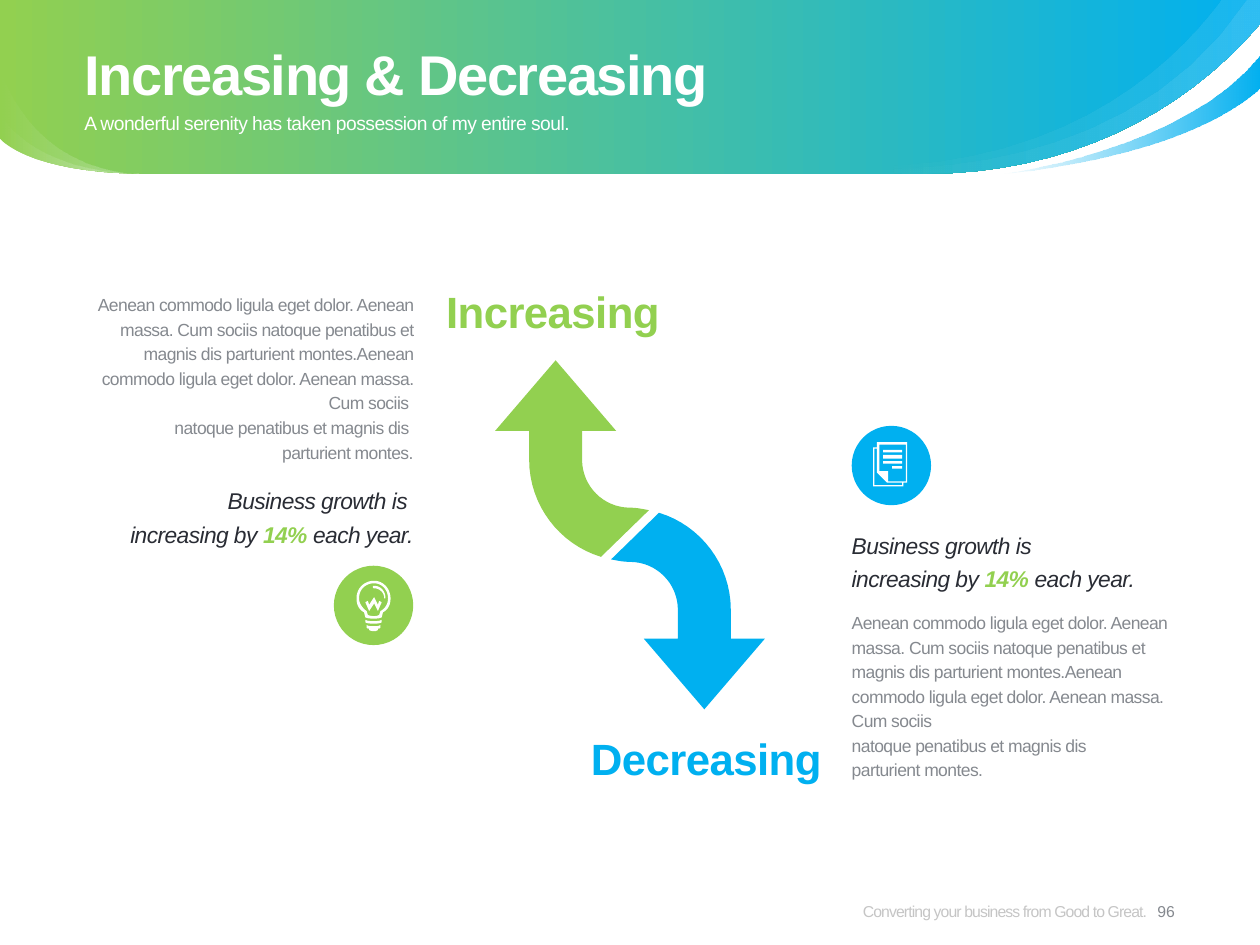
from lxml.etree import SubElement
from pptx import Presentation
from pptx.dml.color import RGBColor
from pptx.enum.shapes import MSO_SHAPE as Shape
from pptx.enum.text import MSO_ANCHOR as Anchor, PP_ALIGN as Align
from pptx.oxml.ns import qn
from pptx.util import Pt

PX = 9144  # EMU in one px, 100 px to the inch
STEPS = 16  # straight pieces in one curve

GREEN = RGBColor(0x92, 0xD0, 0x50)
BLUE = RGBColor(0x00, 0xB0, 0xF0)
WHITE = RGBColor(0xFF, 0xFF, 0xFF)
GREY = RGBColor(0x85, 0x89, 0x8F)
PALE = RGBColor(0x8C, 0x8C, 0x8C)
DARK = RGBColor(0x29, 0x2C, 0x34)

BODY = ("Aenean commodo ligula eget dolor. Aenean massa. Cum sociis natoque "
        "penatibus et magnis dis parturient montes.Aenean commodo ligula eget "
        "dolor. Aenean massa. Cum sociis \vnatoque penatibus et magnis dis "
        "\vparturient montes.")
GROWTH = [("Business growth is ",), ("increasing by ", "14%", " each year.")]

# Outlines: a pair is a point, six numbers are a cubic curve
ARROW = [[(122, 119), (84, 156), (51, 146, 27, 115, 27, 79), (27, 56), (0, 56),
          (48, 0), (96, 56), (69, 56), (69, 79), (69, 100, 86, 117, 107, 117),
          (112, 117, 117, 118, 122, 119)]]
BULB = [
    [(8, 35), (8, 37), (8, 37, 8, 38, 10, 38), (10, 39),
     (10, 39, 11, 40, 14, 40), (16, 40, 17, 39, 17, 39), (17, 38),
     (19, 38, 19, 37, 19, 37), (19, 35), (18, 36, 16, 36, 14, 36),
     (11, 36, 9, 36, 8, 35)],
    [(7, 31), (7, 33), (9, 34, 11, 34, 14, 34), (16, 34, 18, 34, 20, 33),
     (20, 31), (18, 32, 16, 32, 14, 32), (11, 32, 9, 32, 7, 31)],
    [(14, 0), (6, 0, 0, 6, 0, 14), (0, 19, 2, 23, 6, 25), (7, 29),
     (9, 30, 11, 30, 14, 30), (16, 30, 18, 30, 20, 29), (21, 25),
     (25, 23, 27, 19, 27, 14), (27, 6, 21, 0, 14, 0)],
    [(19, 24), (18, 27), (18, 27, 17, 28, 14, 28), (10, 28, 9, 27, 9, 27),
     (8, 24), (5, 22, 2, 18, 2, 14), (2, 7, 7, 2, 14, 2),
     (20, 2, 25, 7, 25, 14), (25, 18, 23, 22, 19, 24)],
    [(17, 19), (14, 13), (10, 19), (9, 16), (7, 17),
     (10, 24), (14, 18), (17, 24), (20, 17), (18, 16)],
    [(14, 4), (13, 4, 13, 4, 13, 5), (13, 5, 13, 6, 14, 6),
     (18, 6, 22, 9, 22, 14), (23, 14), (23, 8, 19, 4, 14, 4)],
]
LINES = [(8, 6, 8), (8, 10, 13), (8, 15, 17), (15, 19, 21)]  # left, top, bottom
PAGES = [
    [(3, 0), (3, 4), (0, 4), (0, 35), (24, 35), (24, 32), (27, 32), (27, 0)],
    [(23, 34), (1, 34), (1, 5), (3, 5), (3, 24), (11, 32), (23, 32)],
    [(26, 31), (12, 31), (12, 23), (5, 23), (5, 2), (26, 2)],
] + [[(x, a), (23, a), (23, b), (x, b)] for x, a, b in LINES]


def flatten(path):
    """Turn the curves of an outline into points."""
    pts = [path[0]]
    for seg in path[1:]:
        if len(seg) == 2:
            pts.append(seg)
            continue
        ctrl = [pts[-1], seg[:2], seg[2:4], seg[4:]]
        for i in range(1, STEPS + 1):
            t = i / STEPS
            u = 1 - t
            mix = (u ** 3, 3 * u * u * t, 3 * u * t * t, t ** 3)
            pts.append(tuple(sum(m * c[k] for m, c in zip(mix, ctrl))
                             for k in (0, 1)))
    return pts


def draw(slide, left, top, paths, color=None):
    pen = None
    for path in paths:
        pts = [(round((left + x) * PX), round((top + y) * PX))
               for x, y in flatten(path)]
        if pen is None:
            pen = slide.shapes.build_freeform(*pts[0], scale=1.0)
        else:
            pen.move_to(*pts[0])
        pen.add_line_segments(pts[1:], close=True)
    return paint(pen.convert_to_shape(), color)


def paint(shape, color):
    shape.shadow.inherit = False
    shape.line.fill.background()
    if color is not None:
        shape.fill.solid()
        shape.fill.fore_color.rgb = color
    return shape


def fade(shape, *stops):
    """Fill from left to right; each stop is (position, color, opacity %)."""
    shape.fill.gradient()
    shape.fill.gradient_angle = 0
    for stop, (pos, color, alpha) in zip(shape.fill.gradient_stops, stops):
        stop.position = pos
        stop.color.rgb = color
    tags = shape.fill._xPr.iter(qn("a:srgbClr"))
    for tag, (pos, color, alpha) in zip(list(tags), stops):
        SubElement(tag, qn("a:alpha"), val=str(alpha * 1000))


def write(slide, box, paras, size, color, gap=-30, align=Align.LEFT,
          lead=None, bold=False, italic=False, anchor=Anchor.TOP):
    frame = slide.shapes.add_textbox(*(n * PX for n in box)).text_frame
    frame.word_wrap = True
    frame.vertical_anchor = anchor
    frame.margin_left = frame.margin_right = 0
    frame.margin_top = frame.margin_bottom = 0
    for i, parts in enumerate(paras):
        para = frame.add_paragraph() if i else frame.paragraphs[0]
        para.text = parts[0]
        for part in parts[1:]:
            para.add_run().text = part
        para.alignment = align
        if lead:
            para.line_spacing = Pt(lead)
        for run in para.runs:
            font = run.font
            font.name, font.size = "Arial", Pt(size)
            font.bold, font.italic = bold, italic
            font.color.rgb = color
            run._r.get_or_add_rPr().set("spc", str(gap))
    return frame


def header(slide, box):
    x, y, w, h = box
    edge = [(w, 0), (w, 19), (938, 92, 845, 138, 734, h)]
    tail = [(725, h), (683, h, 653, 131, 651, 131)]
    # Band and swoosh
    band = edge + [(114, h), (21, 137, 0, 110, 0, 110), (0, 0)]
    fade(draw(slide, x, y, [band]), (0, GREEN, 100), (1, BLUE, 100))
    swoosh = [(794, h), (794, h, 940, 120, w, 43), (w, 69),
              (w, 69, 954, 122, 794, h)]
    fade(draw(slide, x, y, [swoosh]), (0, BLUE, 0), (1, BLUE, 100))
    # Sheen on the right and in the left corner
    for arc in ((832, 143, 926, 58, 969, 0), (658, 132, 882, 162, 989, 0)):
        fade(draw(slide, x, y, [edge + tail + [arc]]),
             (0.15, WHITE, 0), (1, WHITE, 10))
    for top in (89, 53):
        leaf = [(114, h), (21, 137, 0, 110, 0, 110), (0, top),
                (0, top, 21, 136, 114, h)]
        fade(draw(slide, x, y, [leaf]), (0, WHITE, 0), (1, WHITE, 30))
    # Title and subtitle
    write(slide, (x + 67, y + 23, 866, 65), [("Increasing & Decreasing",)],
          32, WHITE, -80, lead=42, bold=True, anchor=Anchor.MIDDLE)
    write(slide, (x + 67, y + 88, 866, 39),
          [("A wonderful serenity has taken possession of my entire soul.",)],
          11, WHITE)


def note(slide, box, tops, align, color, glyph, inset):
    """Body, growth line and icon, at the three tops given."""
    x, y, w, h = box
    body, growth, icon = (y + top for top in tops)
    write(slide, (x, body, w, 137), [(BODY,)], 10, GREY, align=align, lead=14)
    frame = write(slide, (x, growth, w, 53), GROWTH, 13, DARK, align=align,
                  lead=19, italic=True)
    rate = frame.paragraphs[1].runs[1].font
    rate.bold, rate.color.rgb = True, GREEN
    size = 63
    left = x + w - size if align == Align.RIGHT else x
    paint(slide.shapes.add_shape(Shape.OVAL, left * PX, icon * PX,
                                 size * PX, size * PX), color)
    draw(slide, left + inset[0], icon + inset[1], glyph, WHITE)


def arrows(slide, box):
    x, y, w, h = box
    wide, high = 122, 156
    draw(slide, x, y, ARROW, GREEN)
    # The second arrow is the first, turned half round
    turned = [[tuple((high if i % 2 else wide) - n for i, n in enumerate(seg))
               for seg in path] for path in ARROW]
    draw(slide, x + w - wide, y + h - high, turned, BLUE)
    write(slide, (x - 39, y - 60, 261, 42), [("Increasing",)], 25, GREEN,
          bold=True)
    write(slide, (x - 2, y + h + 18, 261, 42), [("Decreasing",)], 25, BLUE,
          align=Align.RIGHT, bold=True)


def footer(slide, box):
    x, y, w, h = box
    frame = write(slide, (x, y, 306, h),
                  [("Converting your business from Good to Great.",)], 9, PALE,
                  -50, Align.RIGHT, anchor=Anchor.MIDDLE)
    tag = next(frame._txBody.iter(qn("a:srgbClr")))
    SubElement(tag, qn("a:alpha"), val="50000")
    write(slide, (x + w - 47, y, 47, h), [("96",)], 9, GREY, 0,
          Align.CENTER, anchor=Anchor.MIDDLE)


def main():
    deck = Presentation()
    deck.slide_width, deck.slide_height = 1000 * PX, 750 * PX
    slide = deck.slides.add_slide(deck.slide_layouts[6])
    header(slide, (0, 0, 1000, 138))
    footer(slide, (604, 696, 345, 54))
    arrows(slide, (393, 286, 214, 277))
    note(slide, (67, 231, 261, 281), (0, 151, 218), Align.RIGHT, GREEN,
         BULB, (18, 12))
    note(slide, (676, 338, 261, 282), (145, 79, 0), Align.LEFT, BLUE,
         PAGES, (17, 13))
    deck.save("out.pptx")


if __name__ == "__main__":
    main()
